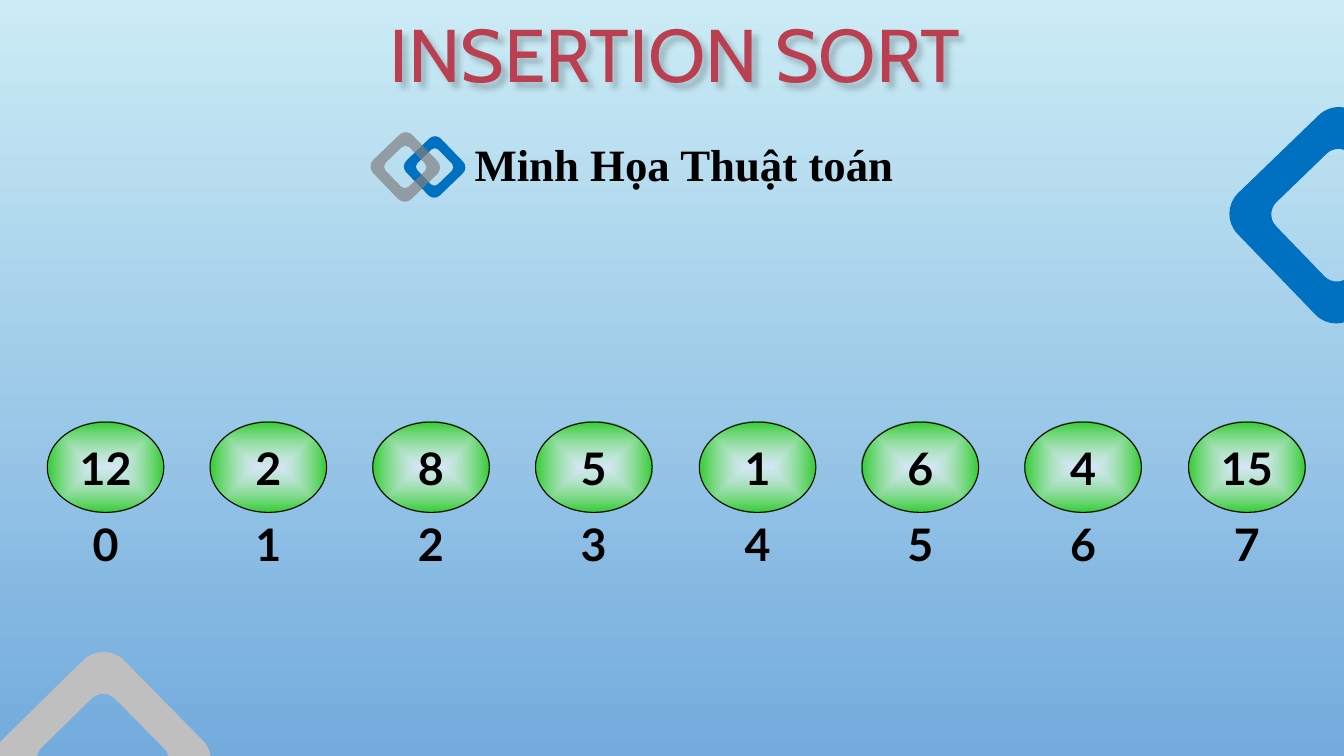
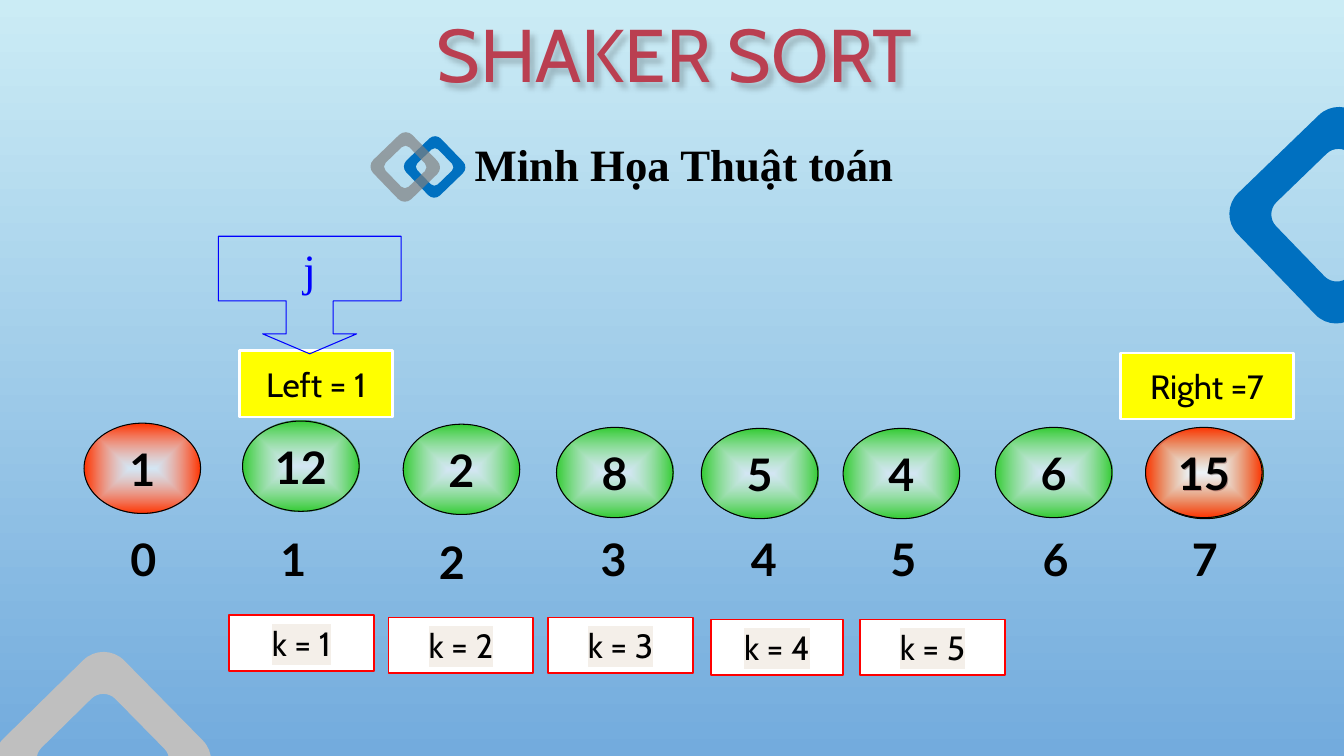
from dataclasses import dataclass

from lxml import etree
from pptx import Presentation
from pptx.dml.color import RGBColor
from pptx.enum.shapes import MSO_SHAPE
from pptx.enum.text import MSO_ANCHOR, PP_ALIGN
from pptx.oxml.ns import qn
from pptx.util import Pt

PX = 9525
SLIDE_W, SLIDE_H = 1280, 720
TITLE_ONLY = 5

OVAL = MSO_SHAPE.OVAL
RECT = MSO_SHAPE.RECTANGLE
CALLOUT = MSO_SHAPE.DOWN_ARROW_CALLOUT
CENTER, LEFT = PP_ALIGN.CENTER, PP_ALIGN.LEFT
MIDDLE = MSO_ANCHOR.MIDDLE

SKY = RGBColor(0xCB, 0xEC, 0xF5)
DEEP_SKY = RGBColor(0x73, 0xAB, 0xDD)
CRIMSON = RGBColor(0xBA, 0x3F, 0x51)
BLUE = RGBColor(0x00, 0x70, 0xC0)
SILVER = RGBColor(0xBF, 0xBF, 0xBF)
GREY = RGBColor(0x80, 0x80, 0x80)
GREEN = RGBColor(0x33, 0xCC, 0x33)
RED_ORANGE = RGBColor(0xFF, 0x33, 0x00)
RED = RGBColor(0xFF, 0x00, 0x00)
YELLOW = RGBColor(0xFF, 0xFF, 0x00)
PURE_BLUE = RGBColor(0x00, 0x00, 0xFF)
CREAM = RGBColor(0xF4, 0xEF, 0xE9)
WHITE = RGBColor(0xFF, 0xFF, 0xFF)
BLACK = RGBColor(0x00, 0x00, 0x00)


@dataclass(frozen=True)
class Style:
    kind: MSO_SHAPE
    font: dict
    color: RGBColor = BLACK
    fill: RGBColor | None = None
    glow: RGBColor | None = None
    line: RGBColor | None = None
    weight: float = 0.75
    highlight: RGBColor | None = None
    adjust: tuple = ()


@dataclass(frozen=True)
class Box:
    x: int
    y: int
    w: int
    h: int
    text: str
    style: Style


@dataclass(frozen=True)
class Diamond:
    x: int
    y: int
    side: int
    color: RGBColor
    rotation: float = 316
    alpha: int = 100


def font_format(name: str, size: float, bold: bool = False) -> dict:
    return {"name": name, "size": Pt(size), "bold": bold}


TITLE_FONT = font_format("Cabin", 53.3)
SUBTITLE_FONT = font_format("Times New Roman", 32, True)
NUMBER_FONT = font_format("Lato", 32, True)
POINTER_FONT = font_format("Times New Roman", 32)
LABEL_FONT = font_format("Cabin", 24)

INDEX = Style(OVAL, NUMBER_FONT)
PENDING = Style(OVAL, NUMBER_FONT, glow=GREEN, line=BLACK)
SORTED = Style(OVAL, NUMBER_FONT, glow=RED_ORANGE, line=BLACK)
BOUND = Style(RECT, LABEL_FONT, fill=YELLOW, line=WHITE, weight=1.75)
STEP = Style(RECT, LABEL_FONT, fill=WHITE, line=RED, weight=1.25, highlight=CREAM)
POINTER = Style(CALLOUT, POINTER_FONT, color=PURE_BLUE, line=PURE_BLUE,
                adjust=(0.4, 0.4, 0.17, 0.55))

CORNER_DIAMONDS = (Diamond(17, 643, 162, SILVER, 315.5),
                   Diamond(1193, 124, 162, BLUE))
MARK_DIAMONDS = (Diamond(391, 136, 46, BLUE),
                 Diamond(360, 133, 52, GREY, alpha=69))
ARC = 0.55
NODE_W, NODE_H = 111, 86

INSERTION_VALUES = (12, 2, 8, 5, 1, 6, 4, 15)
SHAKER_VALUES = (
    (80, 403, 1, SORTED), (231, 401, 12, PENDING), (384, 404, 2, PENDING),
    (530, 407, 8, PENDING), (668, 408, 5, PENDING), (948, 407, 6, PENDING),
    (1092, 408, 15, PENDING), (803, 408, 4, PENDING), (1091, 407, 15, SORTED),
)
SHAKER_INDEXES = ((81, 489), (224, 489), (375, 492), (529, 489),
                  (672, 489), (805, 489), (950, 489), (1092, 489))
SHAKER_STEPS = ((218, 586, 138), (370, 588, 138), (522, 588, 138),
                (677, 590, 126), (819, 590, 138))


def set_alpha(color_element, percent: int) -> None:
    etree.SubElement(color_element, qn("a:alpha"), val=str(percent * 1000))


def set_text(tf, text: str, font: dict, color: RGBColor, align=CENTER):
    tf.word_wrap = True
    tf.vertical_anchor = MIDDLE
    p = tf.paragraphs[0]
    p.alignment = align
    r = p.add_run()
    r.text = text
    for name, value in font.items():
        setattr(r.font, name, value)
    r.font.color.rgb = color
    return r


def set_margins(tf, width: int, height: int) -> None:
    for side, value in {"left": width, "right": width,
                        "top": height, "bottom": height}.items():
        setattr(tf, f"margin_{side}", value * PX)


def set_glow(sp, color: RGBColor) -> None:
    sp.fill.gradient()
    for stop, rgb in zip(sp.fill.gradient_stops, (WHITE, color)):
        stop.color.rgb = rgb
    grad = sp._element.spPr.find(qn("a:gradFill"))
    set_alpha(grad.find(f".//{qn('a:srgbClr')}"), 60)
    path = etree.Element(qn("a:path"), path="shape")
    etree.SubElement(path, qn("a:fillToRect"),
                     dict.fromkeys("ltrb", "50000"))
    grad.replace(grad.find(qn("a:lin")), path)


def draw_box(shapes, box: Box) -> None:
    style = box.style
    sp = shapes.add_shape(style.kind, box.x * PX, box.y * PX,
                          box.w * PX, box.h * PX)
    sp.shadow.inherit = False
    for i, value in enumerate(style.adjust):
        sp.adjustments[i] = value
    if style.glow is not None:
        set_glow(sp, style.glow)
    elif style.fill is not None:
        sp.fill.solid()
        sp.fill.fore_color.rgb = style.fill
    else:
        sp.fill.background()
    if style.line is not None:
        sp.line.color.rgb = style.line
        sp.line.width = Pt(style.weight)
    else:
        sp.line.fill.background()
    set_margins(sp.text_frame, 0, 0)
    r = set_text(sp.text_frame, box.text, style.font, style.color)
    if style.highlight is not None:
        highlight = etree.Element(qn("a:highlight"))
        etree.SubElement(highlight, qn("a:srgbClr"), val=str(style.highlight))
        r._r.rPr.find(qn("a:solidFill")).addnext(highlight)


def rounded_square(d: Diamond, side: float, radius: float) -> list:
    half, bend = side / 2, side / 2 - radius * (1 - ARC)
    flat = half - radius
    points = []
    for ux, uy in ((1, 0), (0, 1), (-1, 0), (0, -1)):
        for along, across in ((half, flat), (half, bend),
                              (bend, half), (flat, half)):
            x = along * ux - across * uy
            y = along * uy + across * ux
            points.append((round((d.x + d.side / 2 + x) * PX),
                           round((d.y + d.side / 2 + y) * PX)))
    return points


def curve_corners(sp) -> None:
    path = sp._element.spPr.find(f".//{qn('a:path')}")
    lines = path.findall(qn("a:lnTo"))
    per_contour = 15
    for start in range(0, len(lines), per_contour):
        contour = lines[start:start + per_contour]
        for i in range(0, per_contour, 4):
            curve = etree.Element(qn("a:cubicBezTo"))
            contour[i].addprevious(curve)
            for line in contour[i:i + 3]:
                curve.append(line[0])
                path.remove(line)


def draw_diamond(shapes, d: Diamond) -> None:
    outer = rounded_square(d, d.side, d.side * 0.17)
    inner = rounded_square(d, d.side * 0.61, d.side * 0.1)[::-1]
    builder = shapes.build_freeform(*outer[0], scale=1.0)
    builder.add_line_segments(outer[1:], close=True)
    builder.move_to(*inner[0])
    builder.add_line_segments(inner[1:], close=True)
    sp = builder.convert_to_shape()
    curve_corners(sp)
    sp.rotation = d.rotation
    sp.shadow.inherit = False
    sp.fill.solid()
    sp.fill.fore_color.rgb = d.color
    sp.line.fill.background()
    if d.alpha < 100:
        set_alpha(sp._element.spPr.find(f".//{qn('a:srgbClr')}"), d.alpha)


def add_title_shadow(sp) -> None:
    effects = etree.SubElement(sp._element.spPr, qn("a:effectLst"))
    shadow = etree.SubElement(effects, qn("a:outerShdw"), blurRad="50800",
                              dist="50800", dir="2700000", algn="tl")
    color = etree.SubElement(shadow, qn("a:srgbClr"), val=str(BLACK))
    set_alpha(color, 20)


def draw_indexes(s, points) -> None:
    group = s.shapes.add_group_shape()
    for i, (x, y) in enumerate(points):
        draw_box(group.shapes, node(x, y, i, INDEX))


def add_sort_slide(prs, title: str):
    s = prs.slides.add_slide(prs.slide_layouts[TITLE_ONLY])
    set_text(s.shapes.title.text_frame, title, TITLE_FONT, CRIMSON)
    add_title_shadow(s.shapes.title)
    for diamond in CORNER_DIAMONDS:
        draw_diamond(s.shapes, diamond)
    tb = s.shapes.add_textbox(452 * PX, 129 * PX, 427 * PX, 53 * PX)
    set_margins(tb.text_frame, 0, 5)
    set_text(tb.text_frame, "Minh Họa Thuật toán", SUBTITLE_FONT, BLACK, LEFT)
    mark = s.shapes.add_group_shape()
    for diamond in MARK_DIAMONDS:
        draw_diamond(mark.shapes, diamond)
    return s


def node(x: int, y: int, value: int, style: Style) -> Box:
    return Box(x, y, NODE_W, NODE_H, str(value), style)


def add_insertion_slide(prs) -> None:
    s = add_sort_slide(prs, "INSERTION SORT")
    xs = [45 + 1087 * i // 7 for i in range(len(INSERTION_VALUES))]
    for x, value in zip(xs, INSERTION_VALUES):
        draw_box(s.shapes, node(x, 402, value, PENDING))
    draw_indexes(s, [(x, 475) for x in xs])


def add_shaker_slide(prs) -> None:
    s = add_sort_slide(prs, "SHAKER SORT")
    draw_indexes(s, SHAKER_INDEXES)
    boxes = (
        Box(1067, 336, 165, 63, "Right =7", BOUND),
        Box(228, 334, 146, 63, "Left = 1", BOUND),
        *(node(*value) for value in SHAKER_VALUES),
        Box(208, 225, 174, 112, "j", POINTER),
        *(Box(x, y, w, 53, f"k = {k}", STEP)
          for k, (x, y, w) in enumerate(SHAKER_STEPS, 1)),
    )
    for box in boxes:
        draw_box(s.shapes, box)


def set_template(prs) -> None:
    prs.slide_width, prs.slide_height = SLIDE_W * PX, SLIDE_H * PX
    fill = prs.slide_master.background.fill
    fill.gradient()
    fill.gradient_angle = 270
    for stop, rgb in zip(fill.gradient_stops, (SKY, DEEP_SKY)):
        stop.color.rgb = rgb
    title = prs.slide_layouts[TITLE_ONLY].placeholders[0]
    frame = {"left": 0, "top": 0, "width": 1285, "height": 101}
    for name, value in frame.items():
        setattr(title, name, value * PX)


def main() -> None:
    prs = Presentation()
    set_template(prs)
    add_insertion_slide(prs)
    add_shaker_slide(prs)
    prs.save("out.pptx")


if __name__ == "__main__":
    main()
